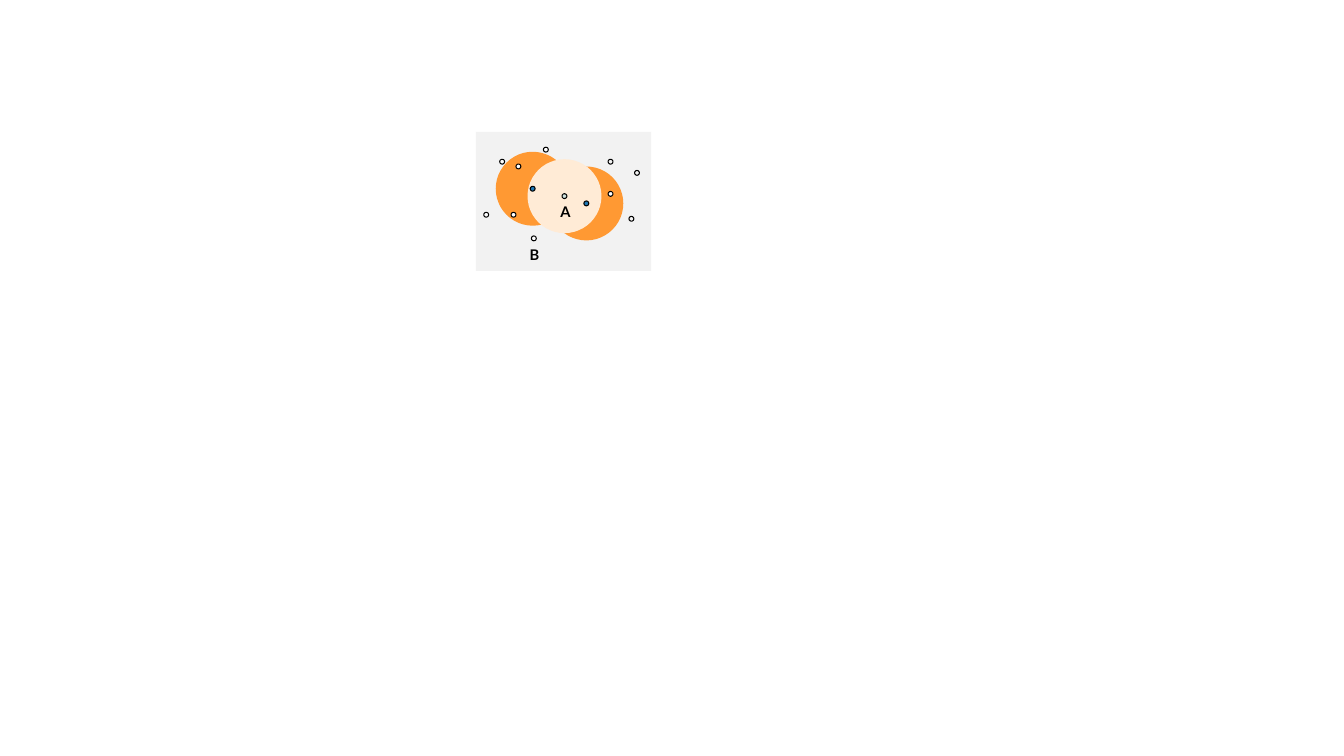
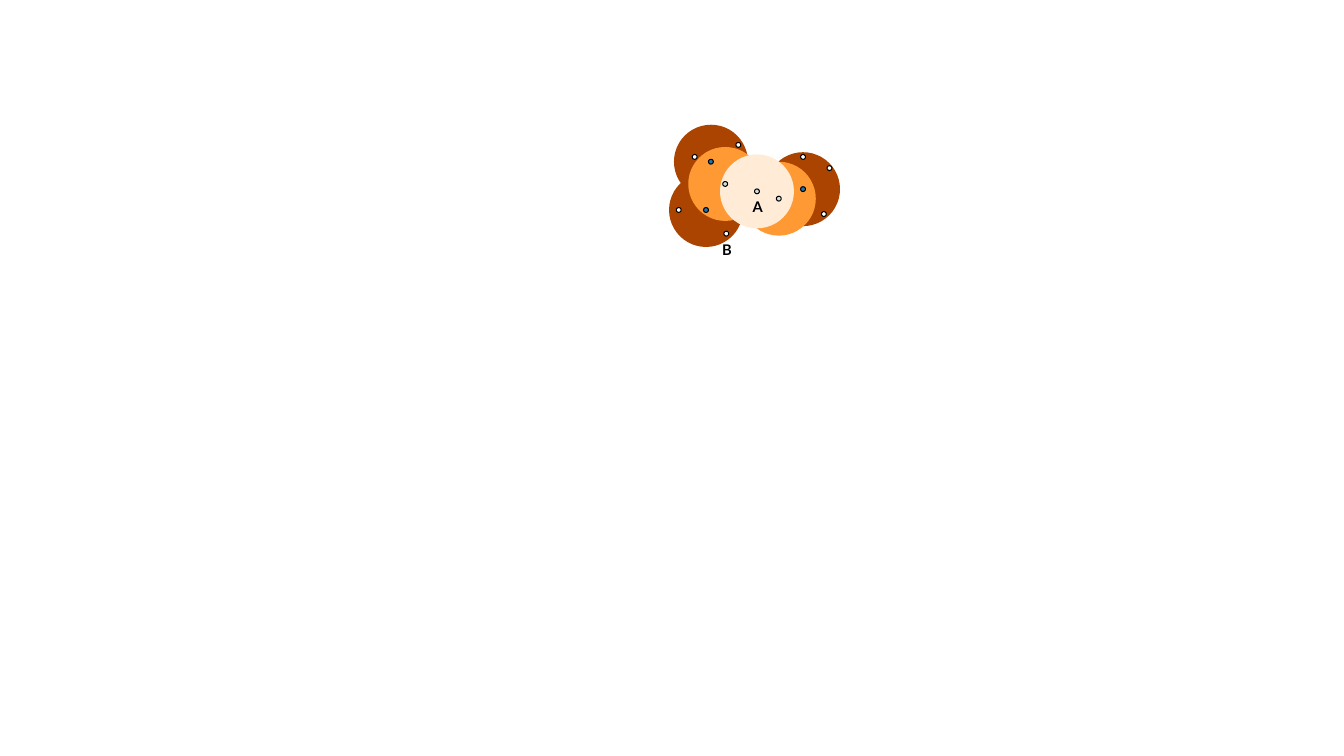
from pptx import Presentation
from pptx.dml.color import RGBColor
from pptx.enum import shapes, text
from pptx.util import Pt

BLACK = RGBColor(0x00, 0x00, 0x00)
WHITE = RGBColor(0xFF, 0xFF, 0xFF)
PANEL_GREY = RGBColor(0xF2, 0xF2, 0xF2)
VISITED = RGBColor(0xCD, 0xE0, 0xDC)
FRONTIER = RGBColor(0x1D, 0x76, 0xB3)
FIRST_REACH = RGBColor(0xFF, 0xEB, 0xD6)
SECOND_REACH = RGBColor(0xFF, 0x99, 0x33)
THIRD_REACH = RGBColor(0xAA, 0x44, 0x00)

FONT = "Lato"
REACH_RADIUS = 26.4
NODE_RADIUS = 1.75
LABEL_SIZE = 20.2
LABEL_DROP = 1.4

NODES = {
    "A": (0, 0),
    "west": (-22.7, -5.3),
    "east": (15.6, 5.2),
    "west upper": (-32.9, -21.2),
    "west lower": (-36.4, 13.3),
    "east middle": (32.9, -1.6),
    "far west lower": (-55.9, 13.3),
    "far west upper": (-44.5, -24.6),
    "north": (-13.3, -33.2),
    "far east lower": (47.8, 16.2),
    "far east upper": (51.8, -16.6),
    "east upper": (32.9, -24.6),
    "B": (-21.9, 30.2),
}
LABELLED = ("A", "B")

STEPS = [
    {
        "origin": (403.2, 140.1),
        "panel": (339.9, 94.3, 125.3, 99.2),
        "reach": [(SECOND_REACH, ["west", "east"]), (FIRST_REACH, ["A"])],
        "visited": ["A"],
        "frontier": ["west", "east"],
        "hollow": ["far east lower", "far east upper", "east upper"],
    },
    {
        "origin": (540.7, 136.7),
        "panel": None,
        "reach": [
            (THIRD_REACH, ["west upper", "east middle", "west lower"]),
            (SECOND_REACH, ["west", "east"]),
            (FIRST_REACH, ["A"]),
        ],
        "visited": ["A", "west", "east"],
        "frontier": ["west upper", "west lower", "east middle"],
        "hollow": [],
    },
]


def add_area(group, preset, box, fill=None, outlined=False):
    area = group.shapes.add_shape(preset, *map(Pt, box))
    area.shadow.inherit = False
    if fill is None:
        area.fill.background()
    else:
        area.fill.solid()
        area.fill.fore_color.rgb = fill
    if outlined:
        area.line.color.rgb = BLACK
        area.line.width = Pt(0.75)
    else:
        area.line.fill.background()


def add_circle(group, center, radius, fill, outlined=False):
    x, y = center
    box = (x - radius, y - radius, 2 * radius, 2 * radius)
    add_area(group, shapes.MSO_SHAPE.OVAL, box, fill, outlined)


def add_label(group, center, letter):
    x, y = center
    label = group.shapes.add_textbox(
        Pt(x - LABEL_SIZE / 2), Pt(y + LABEL_DROP), Pt(LABEL_SIZE), Pt(LABEL_SIZE))
    frame = label.text_frame
    frame.word_wrap = False
    frame.auto_size = text.MSO_AUTO_SIZE.SHAPE_TO_FIT_TEXT
    paragraph = frame.paragraphs[0]
    paragraph.alignment = text.PP_ALIGN.CENTER
    run = paragraph.add_run()
    run.text = letter
    run.font.name = FONT
    run.font.size = Pt(10.5)
    run.font.bold = True
    run.font.color.rgb = BLACK


def node_fill(step, node):
    if node in step["visited"]:
        return VISITED
    if node in step["frontier"]:
        return FRONTIER
    return None if node in step["hollow"] else WHITE


def build_step(slide, step):
    left, top = step["origin"]
    centers = {node: (left + dx, top + dy) for node, (dx, dy) in NODES.items()}
    diagram = slide.shapes.add_group_shape()
    if step["panel"]:
        add_area(diagram, shapes.MSO_SHAPE.RECTANGLE, step["panel"], PANEL_GREY)
    for color, reached in step["reach"]:
        for node in reached:
            add_circle(diagram, centers[node], REACH_RADIUS, color)
    for node, center in centers.items():
        add_circle(diagram, center, NODE_RADIUS, node_fill(step, node), outlined=True)
    for node in LABELLED:
        add_label(diagram, centers[node], node)


def main():
    deck = Presentation()
    deck.slide_width, deck.slide_height = Pt(960), Pt(540)
    for step in STEPS:
        build_step(deck.slides.add_slide(deck.slide_layouts[6]), step)
    deck.save("out.pptx")


if __name__ == "__main__":
    main()
